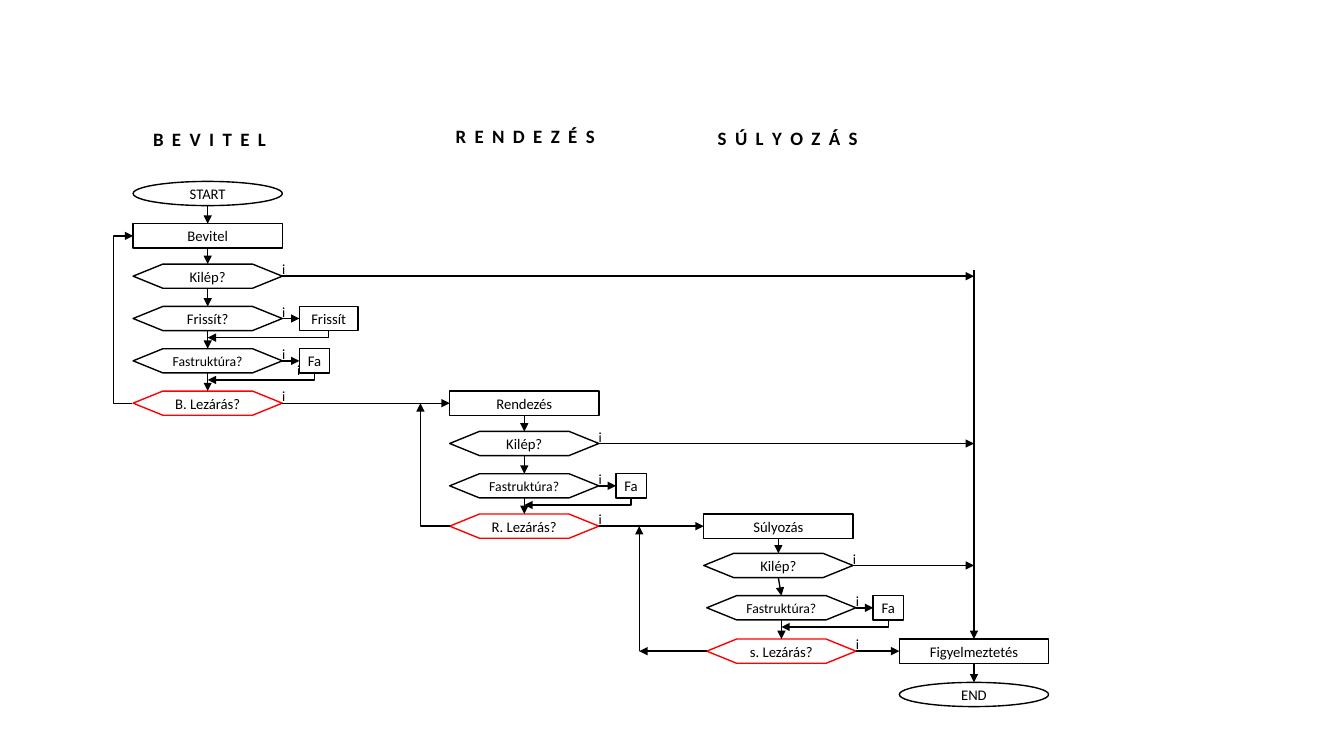
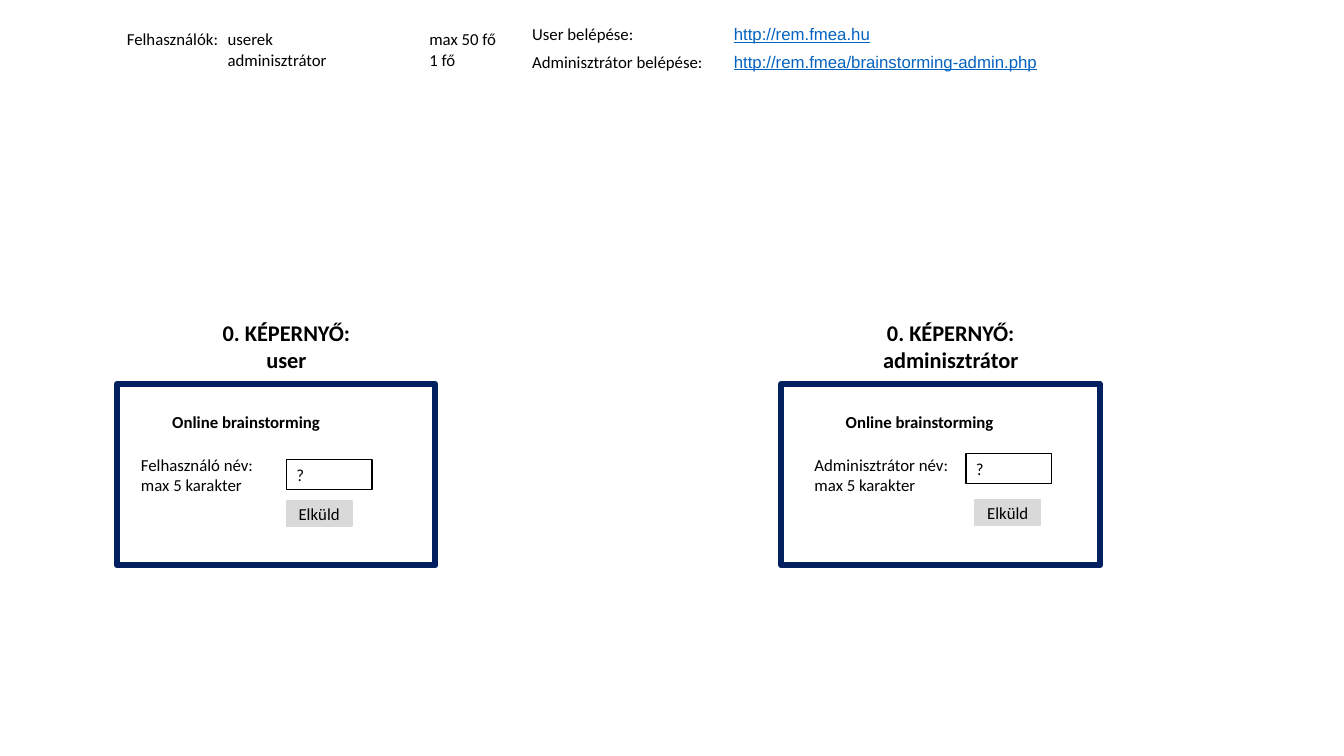
from lxml import etree
from pptx import Presentation
from pptx.dml.color import RGBColor
from pptx.enum.shapes import MSO_CONNECTOR, MSO_SHAPE
from pptx.enum.text import MSO_ANCHOR, PP_ALIGN
from pptx.oxml.ns import qn
from pptx.util import Inches, Pt

BLACK = RGBColor(0x00, 0x00, 0x00)
RED = RGBColor(0xFF, 0x00, 0x00)
NAVY = RGBColor(0x00, 0x20, 0x60)
GREY = RGBColor(0xD9, 0xD9, 0xD9)
LINK_BLUE = RGBColor(0x05, 0x63, 0xC1)

RECT, OVAL, HEXAGON = MSO_SHAPE.RECTANGLE, MSO_SHAPE.OVAL, MSO_SHAPE.FLOWCHART_PREPARATION
STRAIGHT, ELBOW = MSO_CONNECTOR.STRAIGHT, MSO_CONNECTOR.ELBOW
LEFT, CENTER = PP_ALIGN.LEFT, PP_ALIGN.CENTER
TOP_ANCHOR, MIDDLE = MSO_ANCHOR.TOP, MSO_ANCHOR.MIDDLE
TOP_SIDE, LEFT_SIDE, BOTTOM_SIDE, RIGHT_SIDE = range(4)

# Flowchart: headings (text, left, top, width) and steps
HEADINGS = [
    ("B E V I T E L", 1.42, 1.22, 1.34),
    ("R E N D E Z É S", 4.42, 1.19, 1.6),
    ("S Ú L Y O Z Á S", 7.02, 1.21, 1.61),
]
# Each step: (preset, text, left, top, side box text)
COLUMNS = [
    [
        (OVAL, "START", 1.32, 1.8, None),
        (RECT, "Bevitel", 1.32, 2.22, None),
        (HEXAGON, "Kilép?", 1.32, 2.62, None),
        (HEXAGON, "Frissít?", 1.32, 3.04, "Frissít"),
        (HEXAGON, "Fastruktúra?", 1.32, 3.46, "Fa"),
        (HEXAGON, "B. Lezárás?", 1.32, 3.88, None),
    ],
    [
        (RECT, "Rendezés", 4.46, 3.88, None),
        (HEXAGON, "Kilép?", 4.46, 4.28, None),
        (HEXAGON, "Fastruktúra?", 4.46, 4.7, "Fa"),
        (HEXAGON, "R. Lezárás?", 4.46, 5.1, None),
    ],
    [
        (RECT, "Súlyozás", 6.98, 5.1, None),
        (HEXAGON, "Kilép?", 6.98, 5.49, None),
        (HEXAGON, "Fastruktúra?", 7.01, 5.91, "Fa"),
        (HEXAGON, "s. Lezárás?", 7.01, 6.34, None),
    ],
    [
        (RECT, "Figyelmeztetés", 8.92, 6.34, None),
        (OVAL, "END", 8.92, 6.77, None),
    ],
]
STEP_W, STEP_H = 1.48, 0.24
SIDE_GAP = 1.65
SIDE_WIDTHS = {"Frissít": 0.58, "Fa": 0.3}
EXIT_X, EXIT_TOP = 9.66, 2.68

# Login page: (lines, left, top, width, height, tab stops); a tuple is (label, address)
INTRO = [
    (["Felhasználók:\tuserek\tmax 50 fő", "\tadminisztrátor\t1 fő"], 1.16, 0.24, 3.9, 0.5, (1, 3)),
    ([("User belépése:\t", "http://rem.fmea.hu")], 5.18, 0.19, 3.63, 0.3, (2,)),
    ([("Adminisztrátor belépése:\t", "http://rem.fmea/brainstorming-admin.php")],
     5.18, 0.46, 5.27, 0.3, (2,)),
]
SCREENS = [
    dict(role="user", prompt="Felhasználó név:", frame=1.16, title=(2.1, 1.48),
         label=(1.3, 1.33), field=(2.84, 4.56), button=(2.84, 4.97)),
    dict(role="adminisztrátor", prompt="Adminisztrátor név:", frame=7.75, title=(8.65, 1.56),
         label=(7.98, 1.54), field=(9.58, 4.5), button=(9.67, 4.96)),
]


# Shared drawing helpers
def write(frame, lines, size=12, bold=False, align=LEFT, anchor=TOP_ANCHOR,
          insets=(0.1, 0.05, 0.1, 0.05), tabs=(), spacing=0):
    frame.word_wrap = True
    frame.vertical_anchor = anchor
    frame.margin_left, frame.margin_top, frame.margin_right, frame.margin_bottom = map(Inches, insets)
    for index, line in enumerate(lines):
        para = frame.paragraphs[0] if index == 0 else frame.add_paragraph()
        para.alignment = align
        if tabs:
            stops = etree.SubElement(para._p.get_or_add_pPr(), qn("a:tabLst"))
            for stop in tabs:
                etree.SubElement(stops, qn("a:tab"), pos=str(Inches(stop)), algn="l")
        label, address = line if isinstance(line, tuple) else (line, None)
        for text in filter(None, (label, address)):
            is_link = text == address
            span = para.add_run()
            span.text = text
            span.font.name = "Arial" if is_link else "Calibri"
            span.font.size = Pt(size)
            span.font.bold = bold
            span.font.underline = is_link
            span.font.color.rgb = LINK_BLUE if is_link else BLACK
            if spacing:
                span._r.get_or_add_rPr().set("spc", str(int(spacing * 100)))


def add_label(page, lines, left, top, width, height, **text_format):
    box = page.shapes.add_textbox(*map(Inches, (left, top, width, height)))
    text_format.setdefault("insets", (0.1, 0.05, 0, 0.05))
    write(box.text_frame, lines, **text_format)


def add_box(page, preset, left, top, width, height, text=None, line=BLACK, weight=1,
            fill=None, **text_format):
    box = page.shapes.add_shape(preset, *map(Inches, (left, top, width, height)))
    box.shadow.inherit = False
    if fill is None:
        box.fill.background()
    else:
        box.fill.solid()
        box.fill.fore_color.rgb = fill
    box.line.color.rgb = line
    box.line.width = Pt(weight)
    if text:
        write(box.text_frame, [text], **text_format)
    return box


def style_arrow(connector):
    connector.line.color.rgb = BLACK
    connector.line.width = Pt(1)
    etree.SubElement(connector.line._get_or_add_ln(), qn("a:tailEnd"), type="triangle")
    etree.SubElement(connector._element.spPr, qn("a:effectLst"))


def add_arrow(page, start, end):
    """Each end is an (x, y) point in inches or a (shape, side) pair."""
    connector = page.shapes.add_connector(STRAIGHT, 0, 0, 0, 0)
    if isinstance(start[0], (int, float)):
        connector.begin_x, connector.begin_y = map(Inches, start)
    else:
        connector.begin_connect(*start)
    if isinstance(end[0], (int, float)):
        connector.end_x, connector.end_y = map(Inches, end)
    else:
        connector.end_connect(*end)
    style_arrow(connector)


def add_elbow(page, start, end, turn, preset="bentConnector2", flip=False, bend=None):
    """Draw an elbow arrow between two points, its frame turned by some degrees."""
    width, height = abs(end[0] - start[0]), abs(end[1] - start[1])
    if turn == 90:
        width, height = height, width
    left = (start[0] + end[0] - width) / 2
    top = (start[1] + end[1] - height) / 2
    connector = page.shapes.add_connector(
        ELBOW, *map(Inches, (left, top, left + width, top + height)))
    properties = connector._element.spPr
    frame = properties.find(qn("a:xfrm"))
    frame.set("rot", str(turn * 60000))
    if flip:
        frame.set("flipH", "1")
    geometry = properties.find(qn("a:prstGeom"))
    geometry.set("prst", preset)
    if bend is not None:
        guides = geometry.find(qn("a:avLst"))
        etree.SubElement(guides, qn("a:gd"), name="adj1", fmla=f"val {int(bend * 100000)}")
    style_arrow(connector)


# Slide 1: flowchart
def build_flowchart(page):
    step_format = dict(align=CENTER, anchor=MIDDLE, insets=(0.07, 0.04, 0.07, 0.04))
    for text, left, top, width in HEADINGS:
        add_label(page, [text], left, top, width, 0.33, size=13.5, bold=True, spacing=1.5)

    steps = {}
    for number, column in enumerate(COLUMNS):
        above = None
        for preset, text, left, top, side_text in column:
            step = add_box(page, preset, left, top, STEP_W, STEP_H, text,
                           line=RED if "Lezárás" in text else BLACK,
                           size=9.8 if text == "Fastruktúra?" else 10.5, **step_format)
            steps[number, text] = step
            middle = left + STEP_W / 2
            if above:
                # An oval numbers its sides differently, so its foot is a plain point
                start = ((middle, column[0][3] + STEP_H) if above is steps.get((0, "START"))
                         else (above, BOTTOM_SIDE))
                add_arrow(page, start, (step, TOP_SIDE))
            above = step
            if preset == HEXAGON:
                add_label(page, ["i"], left + 1.38, top - 0.08, 0.24, 0.27, size=10)
            if text == "Kilép?":
                add_arrow(page, (step, RIGHT_SIDE), (EXIT_X, top + STEP_H / 2))
            if side_text:
                width = SIDE_WIDTHS[side_text]
                side = add_box(page, RECT, left + SIDE_GAP, top, width, STEP_H, side_text,
                               size=10.5, **step_format)
                add_arrow(page, (step, RIGHT_SIDE), (side, LEFT_SIDE))
                bottom = top + STEP_H
                add_elbow(page, (left + SIDE_GAP + width / 2, bottom), (middle, bottom + 0.07), 90)
    add_label(page, ["i"], 2.85, 3.54, 0.24, 0.27, size=10)

    # Links between columns
    for number, (closing, opening) in enumerate([("B. Lezárás?", "Rendezés"),
                                                 ("R. Lezárás?", "Súlyozás"),
                                                 ("s. Lezárás?", "Figyelmeztetés")]):
        add_arrow(page, (steps[number, closing], RIGHT_SIDE), (steps[number + 1, opening], LEFT_SIDE))
    add_arrow(page, (EXIT_X, EXIT_TOP), (steps[3, "Figyelmeztetés"], TOP_SIDE))

    # Loops back to the start of each column
    add_elbow(page, (1.31, 4), (1.32, 2.34), 180, "bentConnector3", flip=True, bend=-19)
    add_elbow(page, (4.46, 5.22), (4.17, 4), 180)
    add_arrow(page, (steps[2, "s. Lezárás?"], LEFT_SIDE), (6.34, 6.46))
    add_arrow(page, (6.34, 6.46), (6.34, 5.22))


# Slide 2: login screens
def build_login(page):
    for lines, left, top, width, height, tabs in INTRO:
        add_label(page, lines, left, top, width, height, tabs=tabs)
    for screen in SCREENS:
        title_left, title_width = screen["title"]
        label_left, label_width = screen["label"]
        add_label(page, ["0. KÉPERNYŐ:", screen["role"]], title_left, 3.12, title_width, 0.64,
                  size=16, bold=True, align=CENTER, insets=(0, 0.05, 0, 0.05))
        add_label(page, [screen["prompt"], "max 5 karakter"], label_left, 4.46, label_width, 0.5)
        add_label(page, ["Online brainstorming"], label_left + 0.31, 4.04, 1.8, 0.3, bold=True)
        add_box(page, RECT, *screen["field"], 0.85, 0.3, "?")
        add_box(page, RECT, *screen["button"], 0.65, 0.25, "Elküld", line=GREY, fill=GREY,
                align=CENTER, anchor=MIDDLE)
        add_box(page, RECT, screen["frame"], 3.81, 3.16, 1.8, line=NAVY, weight=4.25)


def main():
    deck = Presentation()
    deck.slide_width, deck.slide_height = Inches(13.33), Inches(7.5)
    for build in (build_flowchart, build_login):
        build(deck.slides.add_slide(deck.slide_layouts[6]))
    deck.save("out.pptx")


if __name__ == "__main__":
    main()
